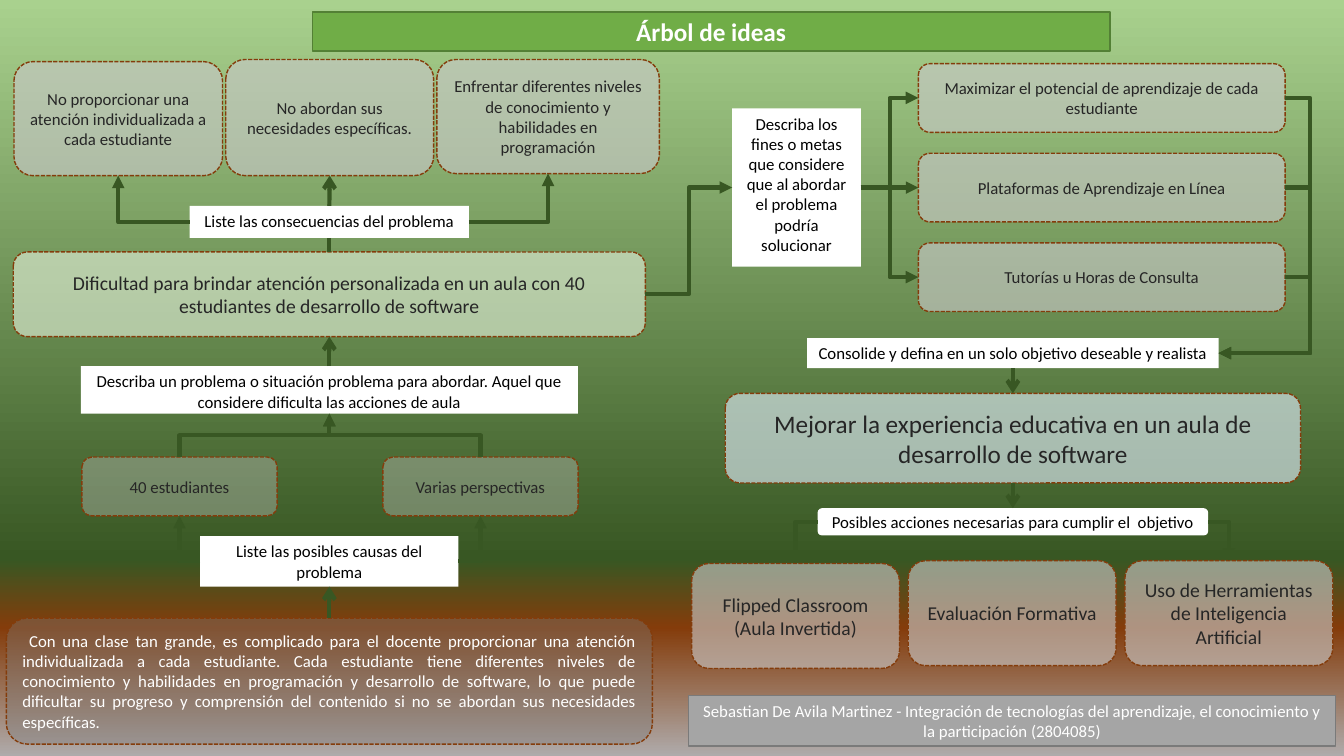
import pptx
import pptx.dml.color
import pptx.enum.dml
import pptx.enum.shapes
import pptx.enum.text
import pptx.oxml.ns
import pptx.util
from lxml import etree

Pt = pptx.util.Pt
qn = pptx.oxml.ns.qn
SHAPES = pptx.enum.shapes.MSO_SHAPE
LINKS = pptx.enum.shapes.MSO_CONNECTOR
ALIGN = pptx.enum.text.PP_ALIGN
ANCHOR = pptx.enum.text.MSO_ANCHOR
TOP, LEFT, BOTTOM, RIGHT = range(4)

BACKGROUND = [(0, "A9D18E"), (74, "385723"), (83, "843C0B"), (100, "AFABAB")]
GREEN, BROWN, GREY = "385723", "843C0B", "C9C9C9"
WHITE, BLACK, DARK = "FFFFFF", "000000", "262626"


def color(hex_code):
    return pptx.dml.color.RGBColor.from_string(hex_code)


def write(shape, text, size=12, ink=DARK, bold=False, align=ALIGN.CENTER, anchor=ANCHOR.MIDDLE):
    frame = shape.text_frame
    frame.word_wrap = True
    frame.auto_size = pptx.enum.text.MSO_AUTO_SIZE.NONE
    frame.vertical_anchor = anchor
    paragraph = frame.paragraphs[0]
    paragraph.alignment = align
    run = paragraph.add_run()
    run.text = text
    run.font.name, run.font.size, run.font.bold = "Calibri", Pt(size), bold
    run.font.color.rgb = color(ink)


def paint(shape, fill, opacity=100, line=None, dashed=False):
    shape.shadow.inherit = False
    shape.fill.solid()
    shape.fill.fore_color.rgb = color(fill)
    if opacity < 100:
        shade = shape.element.spPr.find(qn("a:solidFill"))[0]
        etree.SubElement(shade, qn("a:alpha"), val=str(opacity * 1000))
    if line is None:
        shape.line.fill.background()
        return
    shape.line.color.rgb = color(line)
    shape.line.width = Pt(1)
    if dashed:
        shape.line.dash_style = pptx.enum.dml.MSO_LINE.SQUARE_DOT


def idea(slide, box, text, fill=GREY, opacity=62, **text_format):
    """Rounded, translucent card with a dashed border."""
    card = slide.shapes.add_shape(SHAPES.ROUNDED_RECTANGLE, *map(Pt, box))
    paint(card, fill, opacity, BROWN, dashed=True)
    write(card, text, **text_format)
    return card


def prompt(slide, box, text, outline=SHAPES.RECTANGLE, anchor=ANCHOR.TOP):
    """White label with an instruction."""
    label = slide.shapes.add_shape(outline, *map(Pt, box))
    paint(label, WHITE)
    write(label, text, ink=BLACK, anchor=anchor)
    return label


def link(slide, start, start_side, end, end_side, geometry=None, head="triangle", bend=None):
    """Arrow between two sides; geometry names a bent preset, None is straight."""
    kind = LINKS.ELBOW if geometry else LINKS.STRAIGHT
    arrow = slide.shapes.add_connector(kind, 0, 0, 0, 0)
    arrow.begin_connect(start, start_side)
    arrow.end_connect(end, end_side)
    arrow.line.color.rgb = color(GREEN)
    arrow.line.width = Pt(3)
    properties = arrow.element.spPr
    if head:
        etree.SubElement(properties.find(qn("a:ln")), qn("a:tailEnd"), type=head)
    etree.SubElement(properties, qn("a:effectLst"))
    if geometry:
        preset = properties.find(qn("a:prstGeom"))
        preset.set("prst", geometry)
        if bend is not None:
            etree.SubElement(preset.find(qn("a:avLst")), qn("a:gd"),
                             name="adj1", fmla=f"val {round(bend * 100000)}")
    if geometry == "bentConnector3" and start_side == TOP:
        # An elbow that leaves upwards is a sideways one turned by 270 degrees
        across, rise = arrow.end_x - arrow.begin_x, arrow.begin_y - arrow.end_y
        middle_x = (arrow.begin_x + arrow.end_x) // 2
        middle_y = (arrow.begin_y + arrow.end_y) // 2
        arrow.begin_x, arrow.end_x = middle_x - rise // 2, middle_x + rise // 2
        arrow.begin_y, arrow.end_y = middle_y - across // 2, middle_y + across // 2
        properties.find(qn("a:xfrm")).set("rot", str(270 * 60000))


def background(slide):
    fill = slide.background.fill
    fill.gradient()
    fill.gradient_angle = 270
    stops = next(slide.element.iter(qn("a:gsLst")))
    for stop in list(stops):
        stops.remove(stop)
    for position, shade in BACKGROUND:
        stop = etree.SubElement(stops, qn("a:gs"), pos=str(position * 1000))
        etree.SubElement(stop, qn("a:srgbClr"), val=shade)


def heading(slide, box):
    title = slide.shapes.title
    title.left, title.top, title.width, title.height = map(Pt, box)
    preset = etree.SubElement(title.element.spPr, qn("a:prstGeom"), prst="roundRect")
    etree.SubElement(preset, qn("a:avLst"))
    paint(title, "70AD47", line="538035")
    write(title, "Árbol de ideas", size=18, ink=WHITE, bold=True)


def problem_tree(slide, box):
    """Context, causes, problem and consequences, from bottom to top."""
    x, y, width, height = box

    def centered(top, w, h):
        return x + (width - w) / 2, y + top, w, h

    # Cards and labels
    context = idea(
        slide, centered(height - 90, width, 90),
        " Con una clase tan grande, es complicado para el docente proporcionar una atención "
        "individualizada a cada estudiante. Cada estudiante tiene diferentes niveles de "
        "conocimiento y habilidades en programación y desarrollo de software, lo que puede "
        "dificultar su progreso y comprensión del contenido si no se abordan sus necesidades "
        "específicas.", fill="7C7C7C", opacity=37, ink=WHITE, align=ALIGN.JUSTIFY)
    ask_causes = prompt(slide, centered(340.5, 184.5, 36), "Liste las posibles causas del problema")
    causes = [idea(slide, (x + left, y + 284, 139.5, 42), text, opacity=37)
              for left, text in ((54, "40 estudiantes"), (269, "Varias perspectivas"))]
    ask_problem = prompt(slide, centered(219, 355, 34),
                         "Describa un problema o situación problema para abordar. "
                         "Aquel que considere dificulta las acciones de aula")
    problem = idea(slide, centered(137.5, 451.5, 60.5),
                   "Dificultad para brindar atención personalizada en un aula con 40 "
                   "estudiantes de desarrollo de software", fill="E2F0D9", size=14)
    ask_consequences = prompt(slide, centered(104.5, 199.5, 23), "Liste las consecuencias del problema")
    consequences = [idea(slide, (x + left, y + top, w, h), text) for left, top, w, h, text in (
        (5.5, 1.5, 149, 81.5, "No proporcionar una atención individualizada a cada estudiante"),
        (156.75, 0, 148.5, 83, "No abordan sus necesidades específicas."),
        (307.5, 0, 159, 81.5, "Enfrentar diferentes niveles de conocimiento y habilidades en programación"))]

    # Arrows
    link(slide, context, TOP, ask_causes, BOTTOM, head="arrow")
    for cause, side in zip(causes, (LEFT, RIGHT)):
        link(slide, ask_causes, side, cause, BOTTOM, "bentConnector2")
        link(slide, cause, TOP, ask_problem, BOTTOM, "bentConnector3")
    link(slide, ask_problem, TOP, problem, BOTTOM, head="arrow")
    link(slide, problem, TOP, ask_consequences, BOTTOM, head=None)
    link(slide, ask_consequences, TOP, consequences[1], BOTTOM, head="arrow")
    for consequence, side in zip(consequences[::2], (LEFT, RIGHT)):
        link(slide, ask_consequences, side, consequence, BOTTOM, "bentConnector2")
    return problem


def goals(slide, box, problem):
    """Goals that follow from the problem; returns the label that sums them up."""
    x, y, width, height = box
    ask_goals = prompt(slide, (x, y + 32, 92, 113),
                       "Describa los fines o metas que considere que al abordar el problema podría solucionar")
    ask_objective = prompt(slide, (x + 53.5, y + height - 21.5, 294, 21.5),
                           "Consolide y defina en un solo objetivo deseable y realista")
    link(slide, problem, RIGHT, ask_goals, LEFT, "bentConnector3")
    for row, text in enumerate(("Maximizar el potencial de aprendizaje de cada estudiante",
                                "Plataformas de Aprendizaje en Línea",
                                "Tutorías u Horas de Consulta")):
        goal = idea(slide, (x + width - 262, y + 64 * row, 262, 49), text)
        link(slide, ask_goals, RIGHT, goal, LEFT, None if row == 1 else "bentConnector3")
        link(slide, goal, RIGHT, ask_objective, RIGHT, "bentConnector3", bend=-0.375)
    return ask_objective


def objective_and_actions(slide, box, ask_objective):
    x, y, width, height = box
    objective = idea(slide, (x + 24, y, 411, 64),
                     "Mejorar la experiencia educativa en un aula de desarrollo de software",
                     fill="DEEBF7", opacity=63, size=18)
    ask_actions = prompt(slide, (x + 90, y + 82, 279, 19.5),
                         "Posibles acciones necesarias para cumplir el  objetivo",
                         SHAPES.ROUNDED_RECTANGLE, ANCHOR.MIDDLE)
    link(slide, ask_objective, BOTTOM, objective, TOP, head="arrow")
    link(slide, objective, BOTTOM, ask_actions, TOP, head="arrow")
    actions = [idea(slide, (x + 154.75 * column, y + top, 148.5, height - 120.5), text, size=14)
               for column, (top, text) in enumerate((
                   (121.5, "Flipped Classroom (Aula Invertida)"),
                   (119.5, "Evaluación Formativa"),
                   (119.5, "Uso de Herramientas de Inteligencia Artificial")))]
    for action, side in zip(actions[::2], (LEFT, RIGHT)):
        link(slide, ask_actions, side, action, TOP, "bentConnector2")


def credit(slide, box):
    band = slide.shapes.add_shape(SHAPES.RECTANGLE, *map(Pt, box))
    paint(band, "A5A5A5", line="7A7A7A")
    write(band, "Sebastian De Avila Martinez - Integración de tecnologías del aprendizaje, "
          "el conocimiento y la participación (2804085)", ink=WHITE, anchor=ANCHOR.TOP)


def main():
    deck = pptx.Presentation()
    deck.slide_width, deck.slide_height = Pt(960), Pt(540)
    slide = deck.slides.add_slide(deck.slide_layouts[5])
    background(slide)
    heading(slide, (223, 8.5, 570, 28))
    problem = problem_tree(slide, (4.5, 42.5, 461.5, 489))
    ask_objective = goals(slide, (523, 45.5, 395, 217.5), problem)
    objective_and_actions(slide, (494, 281, 458, 195.5), ask_objective)
    credit(slide, (492, 497, 462, 36))
    deck.save("out.pptx")


if __name__ == "__main__":
    main()
